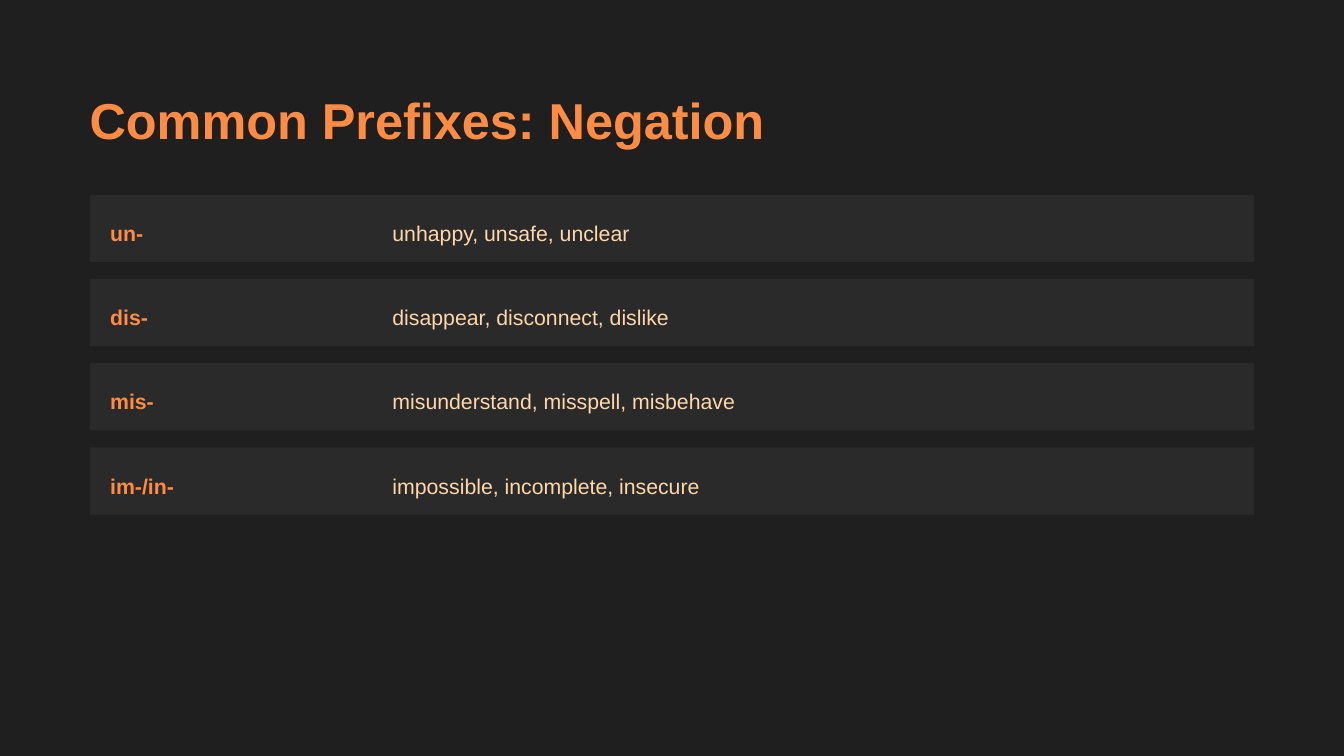
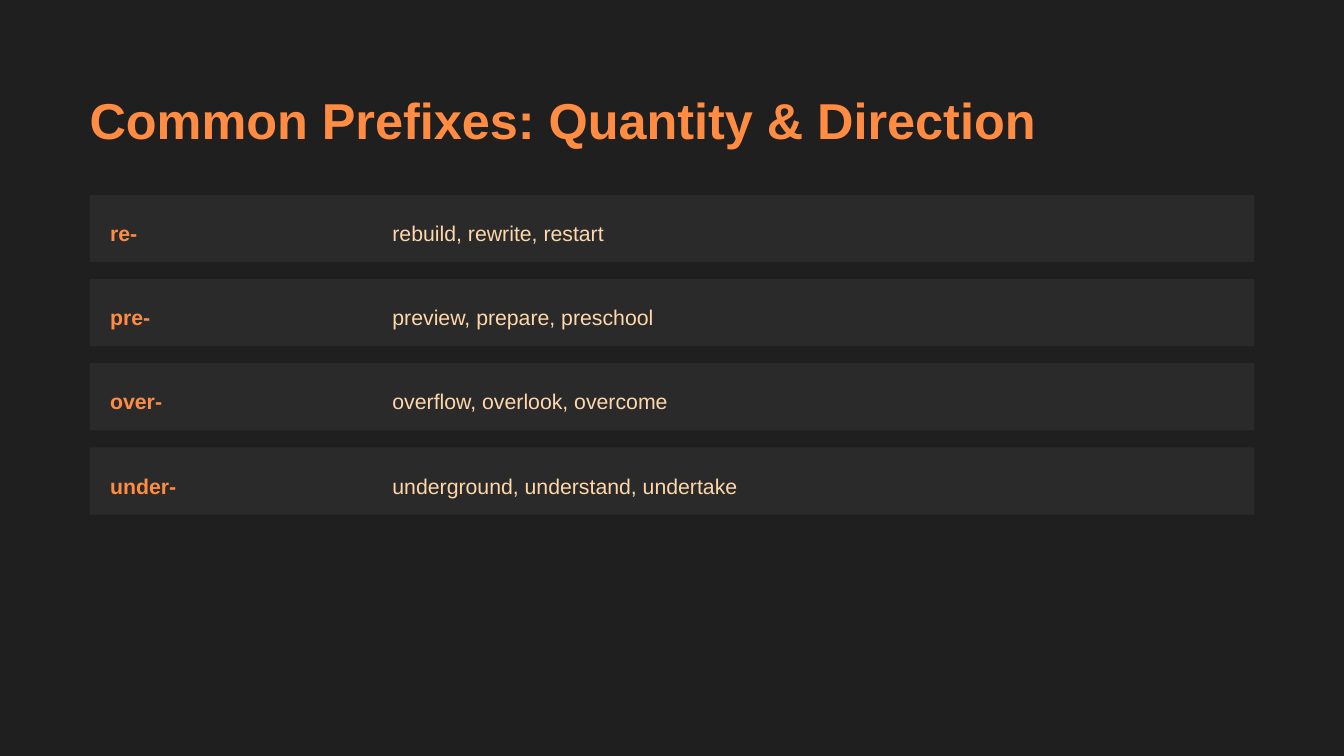
from pptx import Presentation
from pptx.dml.color import RGBColor
from pptx.enum.shapes import MSO_SHAPE
from pptx.enum.text import MSO_ANCHOR, MSO_AUTO_SIZE, PP_ALIGN
from pptx.util import Inches, Pt

RECTANGLE = MSO_SHAPE.RECTANGLE
TOP = MSO_ANCHOR.TOP
LEFT = PP_ALIGN.LEFT
NO_AUTOFIT = MSO_AUTO_SIZE.NONE
TITLE_ONLY = 5

FONT = "Arial"
COLORS = {
    "background": "1F1F1F",
    "band": "2A2A2A",
    "accent": "FF8C42",
    "examples": "FED7AA",
}

SLIDE_WIDTH = 10
SLIDE_HEIGHT = SLIDE_WIDTH * 9 / 16
MARGIN = SLIDE_WIDTH / 15
BAND_WIDTH, BAND_HEIGHT = SLIDE_WIDTH - 2 * MARGIN, 0.5
FIRST_BAND_TOP, LAST_BAND_TOP = 1.45, 3.33
TEXT_OFFSET, TEXT_HEIGHT = 0.125, 0.25
PREFIX_LEFT, PREFIX_WIDTH = 0.82, 2.14
EXAMPLES_LEFT, EXAMPLES_WIDTH = 2.92, 6.41

SLIDES = [
    ("Common Prefixes: Negation", [
        ("un-", "unhappy, unsafe, unclear"),
        ("dis-", "disappear, disconnect, dislike"),
        ("mis-", "misunderstand, misspell, misbehave"),
        ("im-/in-", "impossible, incomplete, insecure"),
    ]),
    ("Common Prefixes: Quantity & Direction", [
        ("re-", "rebuild, rewrite, restart"),
        ("pre-", "preview, prepare, preschool"),
        ("over-", "overflow, overlook, overcome"),
        ("under-", "underground, understand, undertake"),
    ]),
]


def paint(fill, color):
    fill.solid()
    fill.fore_color.rgb = RGBColor.from_string(COLORS[color])


def write(frame, text, size, line_spacing, color, bold):
    """Fill a text frame with one left-aligned line and no insets."""
    frame.margin_left = frame.margin_right = 0
    frame.margin_top = frame.margin_bottom = 0
    frame.word_wrap = True
    frame.auto_size = NO_AUTOFIT
    frame.vertical_anchor = TOP
    frame.text = text
    line = frame.paragraphs[0]
    line.alignment = LEFT
    line.line_spacing = Pt(line_spacing)
    font = line.runs[0].font
    font.name = FONT
    font.size = Pt(size)
    font.bold = bold
    font.color.rgb = RGBColor.from_string(COLORS[color])


def set_title(slide, text):
    title = slide.shapes.title
    title.left, title.top = Inches(MARGIN), Inches(MARGIN)
    title.width, title.height = Inches(8.84), Inches(0.45)
    write(title.text_frame, text, 27, 32.4, "accent", True)


def add_band(slide, top):
    band = slide.shapes.add_shape(RECTANGLE, Inches(MARGIN), Inches(top),
                                  Inches(BAND_WIDTH), Inches(BAND_HEIGHT))
    band.shadow.inherit = False
    band.line.fill.background()
    paint(band.fill, "band")


def add_label(slide, text, left, top, width, color, bold=False):
    label = slide.shapes.add_textbox(Inches(left), Inches(top),
                                     Inches(width), Inches(TEXT_HEIGHT))
    write(label.text_frame, text, 11.4, 18.2, color, bold)


def add_prefix_row(slide, top, prefix, examples):
    add_band(slide, top)
    text_top = top + TEXT_OFFSET
    add_label(slide, prefix, PREFIX_LEFT, text_top, PREFIX_WIDTH, "accent", bold=True)
    add_label(slide, examples, EXAMPLES_LEFT, text_top, EXAMPLES_WIDTH, "examples")


def main():
    prs = Presentation()
    prs.slide_width, prs.slide_height = Inches(SLIDE_WIDTH), Inches(SLIDE_HEIGHT)
    paint(prs.slide_master.background.fill, "background")
    for title, rows in SLIDES:
        slide = prs.slides.add_slide(prs.slide_layouts[TITLE_ONLY])
        set_title(slide, title)
        pitch = (LAST_BAND_TOP - FIRST_BAND_TOP) / (len(rows) - 1)
        for index, (prefix, examples) in enumerate(rows):
            add_prefix_row(slide, FIRST_BAND_TOP + index * pitch, prefix, examples)
    prs.save("out.pptx")


if __name__ == "__main__":
    main()
